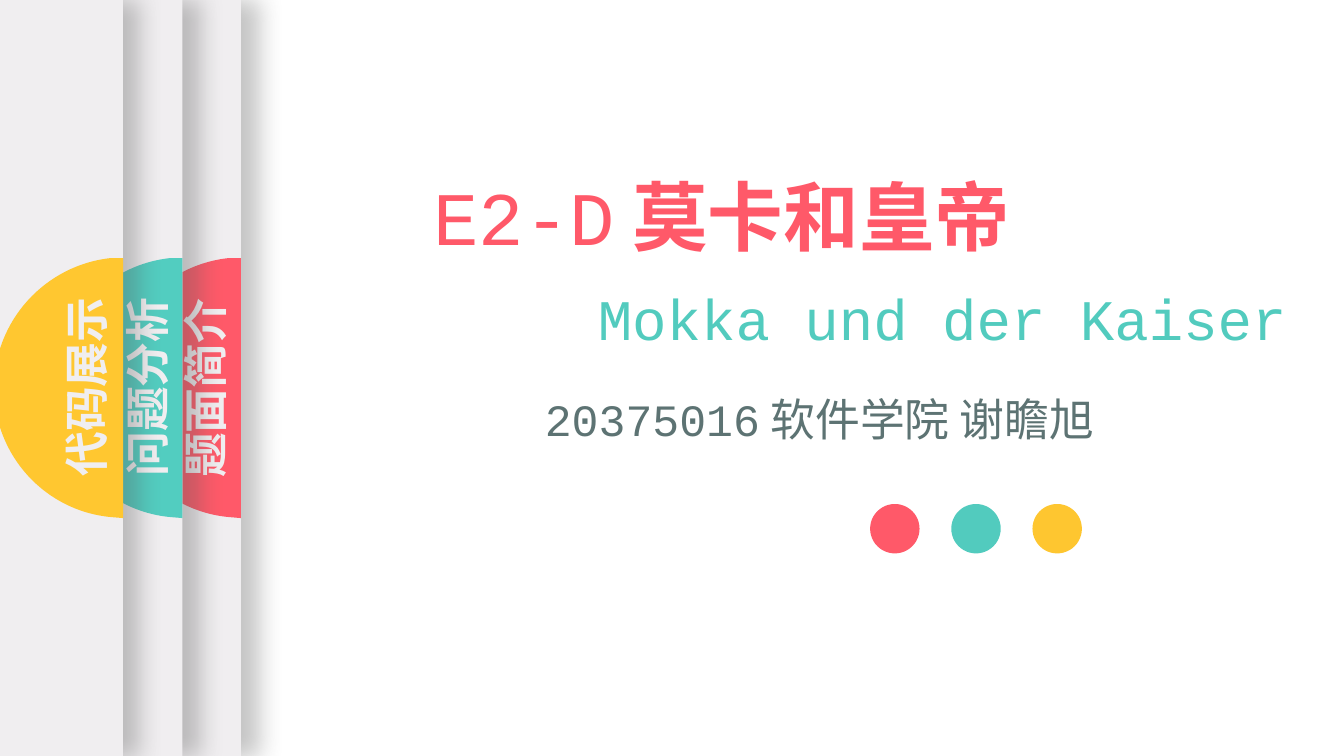
from dataclasses import dataclass

from lxml import etree
from pptx import Presentation
from pptx.dml.color import RGBColor
from pptx.enum import shapes, text
from pptx.oxml.ns import qn
from pptx.util import Inches, Pt


@dataclass(frozen=True)
class Theme:
    red: str = "FF5969"
    teal: str = "52CBBE"
    yellow: str = "FEC630"
    tab_teal: str = "52CDC0"
    tab_yellow: str = "FFC730"
    slate: str = "5D7373"
    panel: str = "F0EEF0"
    shadow: str = "595959"
    latin: str = "Courier New"
    chinese: str = "Calibri"
    title: int = 54
    subtitle: int = 41
    body: int = 32


@dataclass(frozen=True)
class Span:
    text: str
    font: str
    bold: bool = False


@dataclass(frozen=True)
class Line:
    spans: tuple[Span, ...]
    size: int
    color: str


@dataclass(frozen=True)
class Tab:
    label: str
    color: str
    left: float
    width: float
    label_left: float
    label_top: float


THEME = Theme()
SLIDE_W, SLIDE_H = 13.33, 7.5
LINE_W = 7.96
TAB_MIDDLE = 3.85
LABEL_W, LABEL_H = 2.18, 0.64
DOT_LEFT, DOT_TOP, DOT_SIZE, DOT_STEP = 8.63, 5, 0.49, 0.805
HALF_DISC = ((0, -1.29), (0, 1.29), (-0.12, 1.28),
             (-0.77, 1.22), (-1.28, 0.67), (-1.28, 0),
             (-1.28, -0.67), (-0.77, -1.22), (-0.12, -1.29))

TITLE = Line((Span("E2-D", THEME.latin), Span(" 莫卡和皇帝", THEME.chinese, True)),
             THEME.title, THEME.red)
SUBTITLE = Line((Span("Mokka und der Kaiser", THEME.latin),), THEME.subtitle, THEME.teal)
AUTHOR = Line((Span("20375016", THEME.latin), Span(" 软件学院 谢瞻旭", THEME.chinese)),
              THEME.body, THEME.slate)
TABS = (
    Tab("题面简介", THEME.red, -11.26, 13.65, 0.94, 3.53),
    Tab("问题分析", THEME.tab_teal, -10.71, 12.52, 0.37, 3.52),
    Tab("代码展示", THEME.tab_yellow, -9.67, 10.89, -0.24, 3.52),
)


def paint(sp, color: str) -> None:
    sp.shadow.inherit = False
    sp.fill.solid()
    sp.fill.fore_color.rgb = RGBColor.from_string(color)
    sp.line.fill.background()


def write_line(sp, line: Line) -> None:
    tf = sp.text_frame
    tf.word_wrap = True
    tf.auto_size = text.MSO_AUTO_SIZE.NONE
    tf.vertical_anchor = text.MSO_ANCHOR.TOP
    p = tf.paragraphs[0]
    p.alignment = text.PP_ALIGN.CENTER
    p.font.size = Pt(line.size)
    p.font.color.rgb = RGBColor.from_string(line.color)
    for span in line.spans:
        r = p.add_run()
        r.text = span.text
        r.font.name = span.font
        r.font.bold = span.bold


def add_line(parent, line: Line, left: float, top: float, width: float, height: float):
    sp = parent.shapes.add_textbox(Inches(left), Inches(top), Inches(width), Inches(height))
    write_line(sp, line)
    return sp


def add_panel_shadow(sp) -> None:
    effects = sp._element.spPr.find(qn("a:effectLst"))
    shadow = etree.SubElement(effects, qn("a:outerShdw"), blurRad=str(Pt(17)),
                              dist=str(Pt(3)), dir="0", sx="102000", sy="100000",
                              algn="ctr", rotWithShape="0")
    color = etree.SubElement(shadow, qn("a:srgbClr"), val=THEME.shadow)
    etree.SubElement(color, qn("a:alpha"), val="35000")


def add_half_disc(parent, right: float, color: str) -> None:
    points = [(Inches(right + x), Inches(TAB_MIDDLE + y)) for x, y in HALF_DISC]
    builder = parent.shapes.build_freeform(*points[0])
    builder.add_line_segments(points[1:], close=True)
    sp = builder.convert_to_shape()
    paint(sp, color)
    segments = list(sp._element.iter(qn("a:lnTo")))
    for first in (2, 5):
        curve = etree.Element(qn("a:cubicBezTo"))
        segments[first].addprevious(curve)
        for segment in segments[first:first + 3]:
            curve.append(segment[0])
            segment.getparent().remove(segment)


def add_tab(s, tab: Tab) -> None:
    group = s.shapes.add_group_shape()
    panel = group.shapes.add_shape(shapes.MSO_SHAPE.RECTANGLE, Inches(tab.left), 0,
                                   Inches(tab.width), Inches(SLIDE_H))
    paint(panel, THEME.panel)
    add_panel_shadow(panel)
    add_half_disc(group, tab.left + tab.width, tab.color)
    line = Line((Span(tab.label, THEME.chinese, True),), THEME.body, THEME.panel)
    label = add_line(group, line, tab.label_left, tab.label_top, LABEL_W, LABEL_H)
    label.rotation = 270


def add_dots(s) -> None:
    group = s.shapes.add_group_shape()
    for i, color in enumerate((THEME.red, THEME.teal, THEME.yellow)):
        dot = group.shapes.add_shape(shapes.MSO_SHAPE.OVAL, Inches(DOT_LEFT + i * DOT_STEP),
                                     Inches(DOT_TOP), Inches(DOT_SIZE), Inches(DOT_SIZE))
        paint(dot, color)


def main() -> None:
    prs = Presentation()
    prs.slide_width, prs.slide_height = Inches(SLIDE_W), Inches(SLIDE_H)
    s = prs.slides.add_slide(prs.slide_layouts[5])

    title = s.shapes.title
    title.left, title.top = Inches(3.18), Inches(1.64)
    title.width, title.height = Inches(LINE_W), Inches(1.01)
    write_line(title, TITLE)

    add_dots(s)
    add_line(s, SUBTITLE, 5.37, 2.76, LINE_W, 0.79)
    add_line(s, AUTHOR, 4.15, 3.84, LINE_W, 0.64)
    for tab in TABS:
        add_tab(s, tab)

    prs.save("out.pptx")


if __name__ == "__main__":
    main()
